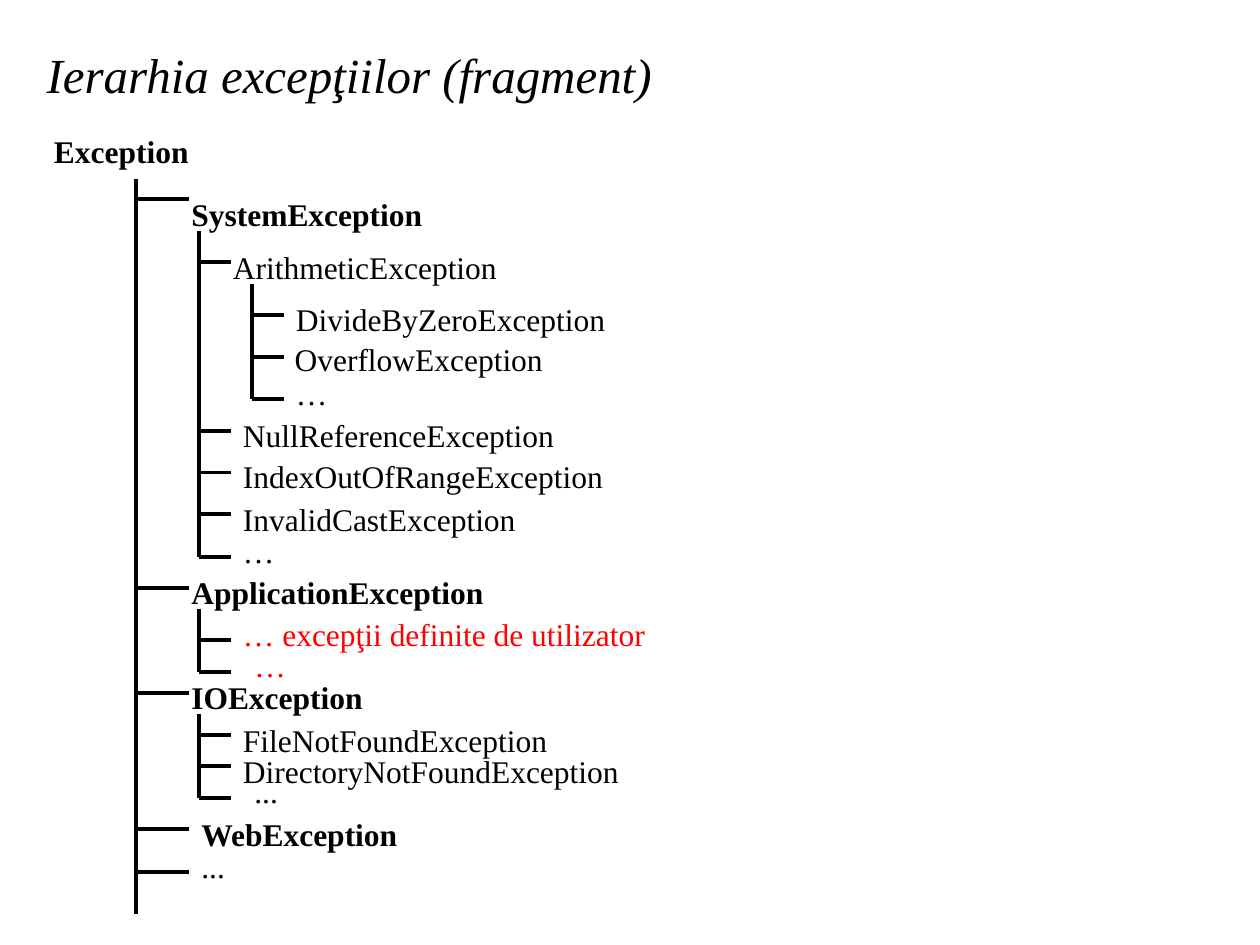
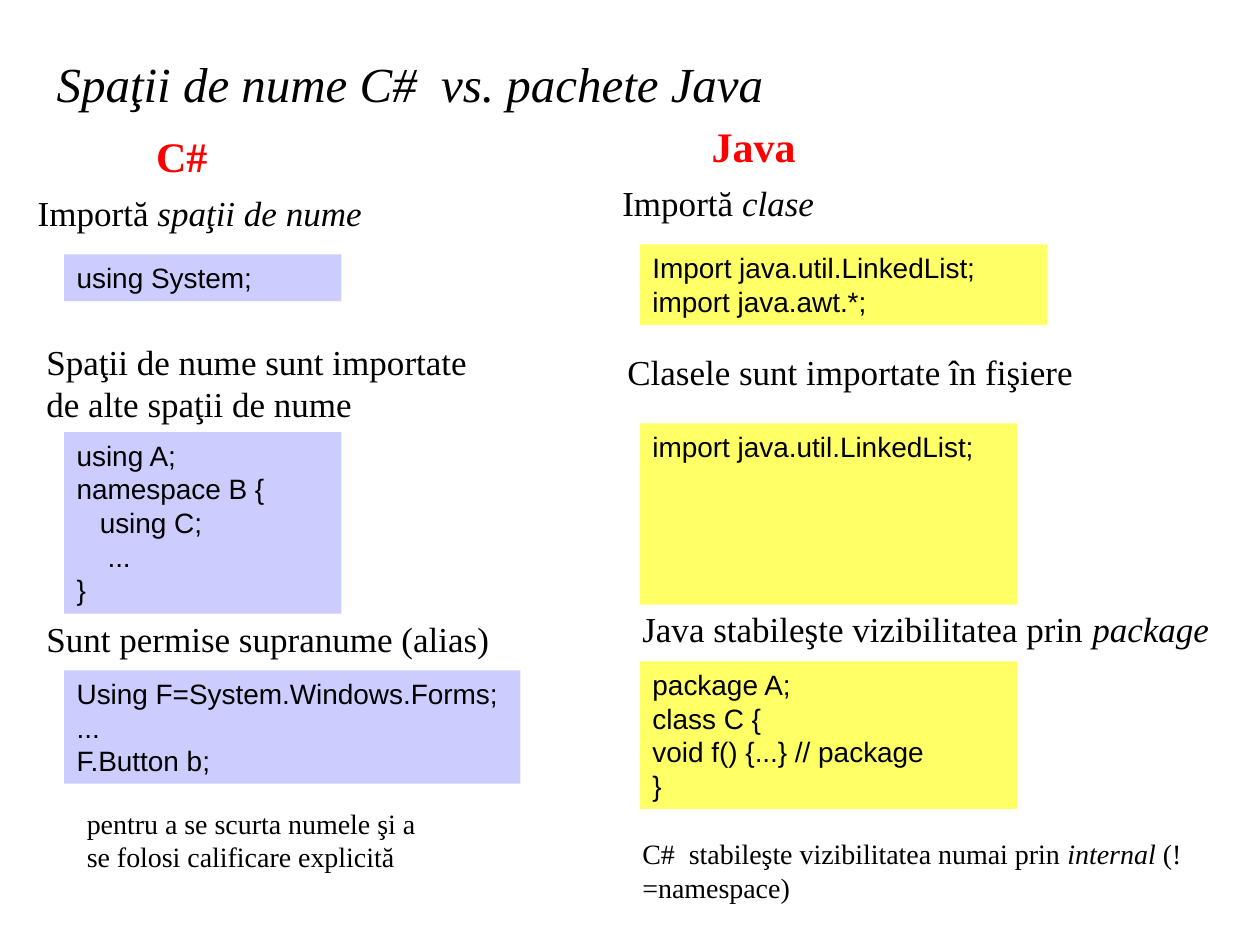
from dataclasses import dataclass
from typing import NamedTuple

from lxml.etree import SubElement
from pptx import Presentation
from pptx.dml.color import RGBColor
from pptx.enum.shapes import MSO_CONNECTOR as Connector, MSO_SHAPE as Shape
from pptx.enum.text import MSO_ANCHOR as Anchor, MSO_AUTO_SIZE as AutoSize, PP_ALIGN as Align
from pptx.oxml.ns import qn
from pptx.util import Inches, Pt


@dataclass(frozen=True)
class Theme:
    ink: str = "000000"
    accent: str = "FF0000"
    csharp: str = "CCCCFF"
    java: str = "FFFF66"
    serif: str = "Times New Roman"
    sans: str = "Arial"
    title: int = 28
    heading: int = 24
    statement: int = 20
    tree: int = 18
    small: int = 16
    line: float = 2.25


THEME = Theme()


class Run(NamedTuple):
    text: str
    italic: bool = False


class Style(NamedTuple):
    size: int
    color: str = THEME.ink
    bold: bool = False
    font: str = THEME.serif


class Box(NamedTuple):
    left: float
    top: float
    width: float
    height: float


Lines = list[list[Run]]

LEAF = Style(THEME.tree)
PARENT = Style(THEME.tree, bold=True)
USER = Style(THEME.tree, THEME.accent)
HEADING = Style(THEME.heading, THEME.accent, bold=True)
STATEMENT = Style(THEME.statement)
REMARK = Style(THEME.small)
CODE = Style(THEME.small, font=THEME.sans)


@dataclass(frozen=True)
class Node:
    """A class name and the height of the tick that leads to it."""
    name: str
    left: float
    top: float
    width: float
    tick: float
    style: Style = LEAF


@dataclass(frozen=True)
class Branch:
    """A vertical stem with one tick per node."""
    stem: float
    top: float
    bottom: float
    tick_end: float
    nodes: list[Node]


@dataclass(frozen=True)
class Passage:
    box: Box
    lines: Lines
    style: Style = STATEMENT


@dataclass(frozen=True)
class Snippet:
    top: float
    width: float
    code: list[str]
    rows: int


@dataclass(frozen=True)
class Column:
    fill: str
    code_left: float
    passages: list[Passage]
    snippets: list[Snippet]


# Content: exception hierarchy
LABEL_HEIGHT = 0.4
ROOT = Node("Exception", 0.33, 1, 1.58, 0, PARENT)
BRANCHES = [
    Branch(1.08, 1.42, 7.25, 1.5, [
        Node("SystemException", 1.42, 1.5, 2.72, 1.58, PARENT),
        Node("ApplicationException", 1.42, 4.5, 3.42, 4.67, PARENT),
        Node("IOException", 1.42, 5.33, 1.67, 5.5, PARENT),
        Node("WebException", 1.5, 6.42, 2.08, 6.58, PARENT),
        Node("...", 1.5, 6.67, 0.58, 6.92),
    ]),
    Branch(1.58, 1.83, 4.42, 1.83, [
        Node("ArithmeticException", 1.75, 1.92, 2.42, 2.08),
        Node("NullReferenceException", 1.83, 3.25, 3.75, 3.42),
        Node("IndexOutOfRangeException", 1.83, 3.58, 3.4, 3.75),
        Node("InvalidCastException", 1.83, 3.92, 3.17, 4.08),
        Node("…", 1.83, 4.17, 0.75, 4.42),
    ]),
    Branch(2, 2.25, 3.17, 2.25, [
        Node("DivideByZeroException", 2.25, 2.33, 3.06, 2.5),
        Node("OverflowException", 2.24, 2.65, 2.33, 2.83),
        Node("…", 2.25, 2.92, 1.58, 3.17),
    ]),
    Branch(1.58, 4.83, 5.33, 1.83, [
        Node("… excepţii definite de utilizator", 1.83, 4.83, 4.08, 5.08, USER),
        Node("…", 1.92, 5.08, 0.58, 5.33, USER),
    ]),
    Branch(1.58, 5.67, 6.33, 1.83, [
        Node("FileNotFoundException", 1.83, 5.67, 2.83, 5.83),
        Node("DirectoryNotFoundException", 1.83, 5.92, 3.64, 6.08),
        Node("...", 1.92, 6.08, 0.58, 6.33),
    ]),
]

# Content: language comparison
COLUMNS = [
    Column(THEME.csharp, 0.51, [
        Passage(Box(1.14, 0.99, 1.1, 0.5), [[Run("C#")]], HEADING),
        Passage(Box(0.2, 1.47, 2.99, 0.44), [[Run("Importă "), Run("spaţii de nume", True)]]),
        Passage(Box(0.27, 2.65, 3.61, 0.77),
                [[Run("Spaţii de nume sunt importate")], [Run("de alte spaţii de nume")]]),
        Passage(Box(0.27, 4.85, 3.94, 0.44), [[Run("Sunt permise supranume (alias)")]]),
        Passage(Box(0.59, 6.35, 2.99, 0.64),
                [[Run("pentru a se scurta numele şi a se folosi calificare explicită")]], REMARK),
    ], [
        Snippet(2.02, 2.2, ["using System;"], 1),
        Snippet(3.43, 2.2, ["using A;", "namespace B {", "   using C;", "    ...", "}"], 5),
        Snippet(5.32, 3.62, ["Using F=System.Windows.Forms;", "...", "F.Button b;"], 3),
    ]),
    Column(THEME.java, 5.08, [
        Passage(Box(5.55, 0.91, 1.1, 0.5), [[Run("Java")]], HEADING),
        Passage(Box(4.84, 1.39, 4.18, 0.44), [[Run("Importă "), Run("clase", True)]]),
        Passage(Box(4.88, 2.73, 3.82, 0.44), [[Run("Clasele sunt importate în fişiere")]]),
        Passage(Box(5, 4.77, 4.73, 0.44),
                [[Run("Java stabileşte vizibilitatea prin "), Run("package", True)]]),
        Passage(Box(5, 6.59, 4.73, 0.64),
                [[Run("C#  stabileşte vizibilitatea numai prin "), Run("internal", True),
                  Run(" (!=namespace)")]], REMARK),
    ], [
        Snippet(1.94, 3.23, ["Import java.util.LinkedList;", "import java.awt.*;"], 2),
        Snippet(3.36, 2.99, ["import java.util.LinkedList;"], 5),
        Snippet(5.25, 2.99, ["package A;", "class C {", "void f() {...} // package", "}"], 4),
    ]),
]


def inches(box: Box) -> list[Inches]:
    return [Inches(length) for length in box]


def write(frame, lines: Lines, style: Style, anchor=Anchor.TOP) -> None:
    """Fill a text frame run by run."""
    frame.word_wrap = True
    frame.auto_size = AutoSize.NONE
    frame.vertical_anchor = anchor
    frame.margin_left = frame.margin_right = Inches(0.1)
    frame.margin_top = frame.margin_bottom = Inches(0.05)
    for index, line in enumerate(lines):
        paragraph = frame.add_paragraph() if index else frame.paragraphs[0]
        paragraph.alignment = Align.LEFT
        for part in line:
            run = paragraph.add_run()
            run.text = part.text
            font = run.font
            font.name, font.size = style.font, Pt(style.size)
            font.bold, font.italic = style.bold, part.italic
            font.color.rgb = RGBColor.from_string(style.color)


def add_titled_slide(deck, title: str, box: Box):
    slide = deck.slides.add_slide(deck.slide_layouts[5])
    heading = slide.shapes.title
    heading.left, heading.top, heading.width, heading.height = inches(box)
    write(heading.text_frame, [[Run(title, True)]], Style(THEME.title), Anchor.MIDDLE)
    return slide


def add_text(slide, box: Box, lines: Lines, style: Style) -> None:
    write(slide.shapes.add_textbox(*inches(box)).text_frame, lines, style)


def add_line(slide, x1: float, y1: float, x2: float, y2: float) -> None:
    ends = [Inches(length) for length in (x1, y1, x2, y2)]
    line = slide.shapes.add_connector(Connector.STRAIGHT, *ends)
    line.line.color.rgb = RGBColor.from_string(THEME.ink)
    line.line.width = Pt(THEME.line)
    SubElement(line._element.spPr, qn("a:effectLst"))


def add_node(slide, node: Node) -> None:
    add_text(slide, Box(node.left, node.top, node.width, LABEL_HEIGHT),
             [[Run(node.name)]], node.style)


def add_branch(slide, branch: Branch) -> None:
    add_line(slide, branch.stem, branch.top, branch.stem, branch.bottom)
    for node in branch.nodes:
        add_line(slide, branch.stem, node.tick, branch.tick_end, node.tick)
        add_node(slide, node)


def add_snippet(slide, column: Column, snippet: Snippet) -> None:
    height = round(0.1 + snippet.rows * 0.268, 2)
    box = Box(column.code_left, snippet.top, snippet.width, height)
    panel = slide.shapes.add_shape(Shape.RECTANGLE, *inches(box))
    panel.shadow.inherit = False
    panel.fill.solid()
    panel.fill.fore_color.rgb = RGBColor.from_string(column.fill)
    panel.line.fill.background()
    write(panel.text_frame, [[Run(row)] for row in snippet.code], CODE)


def add_column(slide, column: Column) -> None:
    for snippet in column.snippets:
        add_snippet(slide, column, snippet)
    for passage in column.passages:
        add_text(slide, passage.box, passage.lines, passage.style)


def main() -> None:
    deck = Presentation()
    deck.slide_width, deck.slide_height = Inches(10), Inches(7.5)

    # Exception tree
    hierarchy = add_titled_slide(deck, "Ierarhia excepţiilor (fragment)",
                                 Box(0.27, 0.21, 5.75, 0.75))
    add_node(hierarchy, ROOT)
    for branch in BRANCHES:
        add_branch(hierarchy, branch)

    # C# and Java side by side
    comparison = add_titled_slide(deck, "Spaţii de nume C#  vs. pachete Java",
                                  Box(0.35, 0.28, 6.22, 0.75))
    for column in COLUMNS:
        add_column(comparison, column)

    deck.save("out.pptx")


if __name__ == "__main__":
    main()
